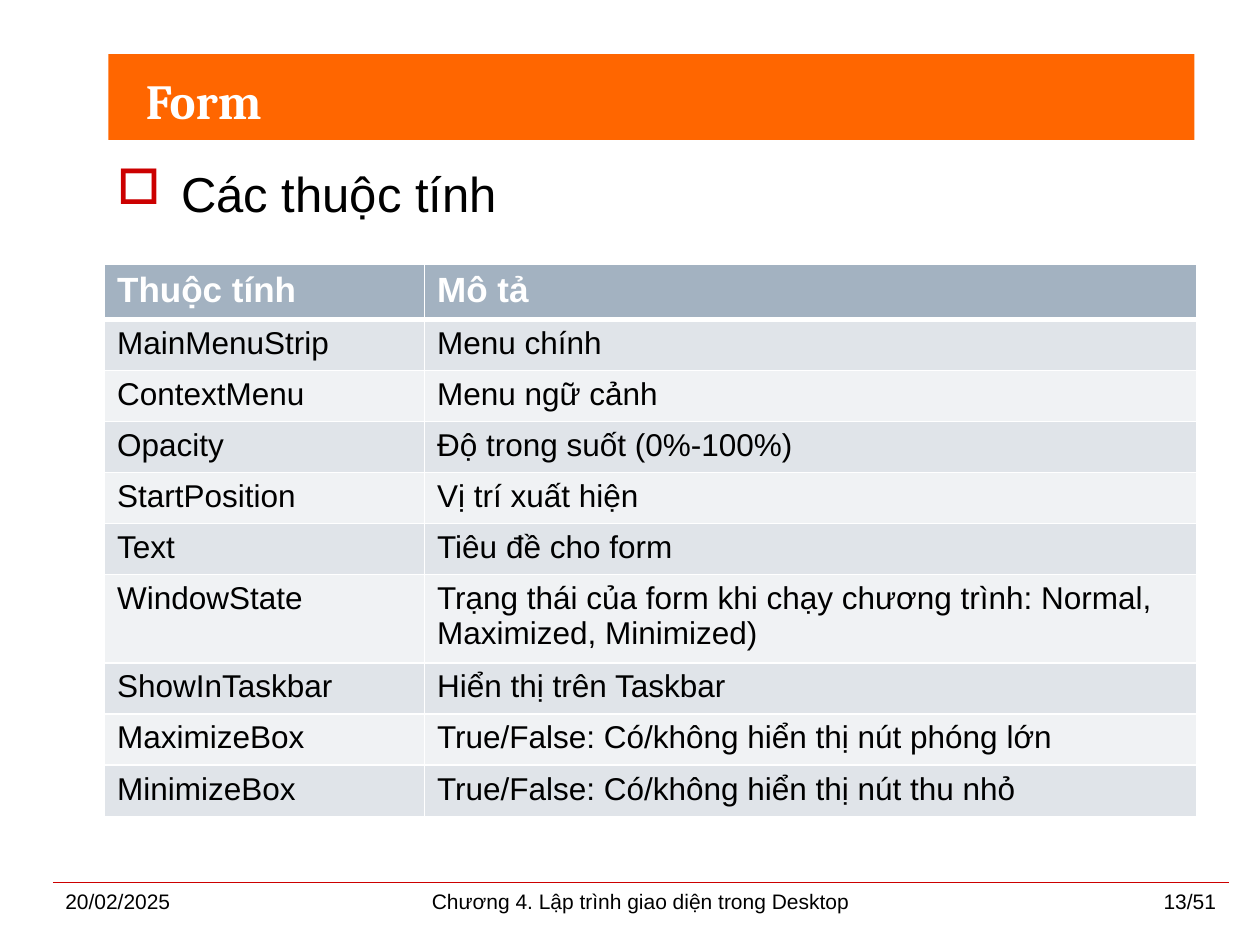
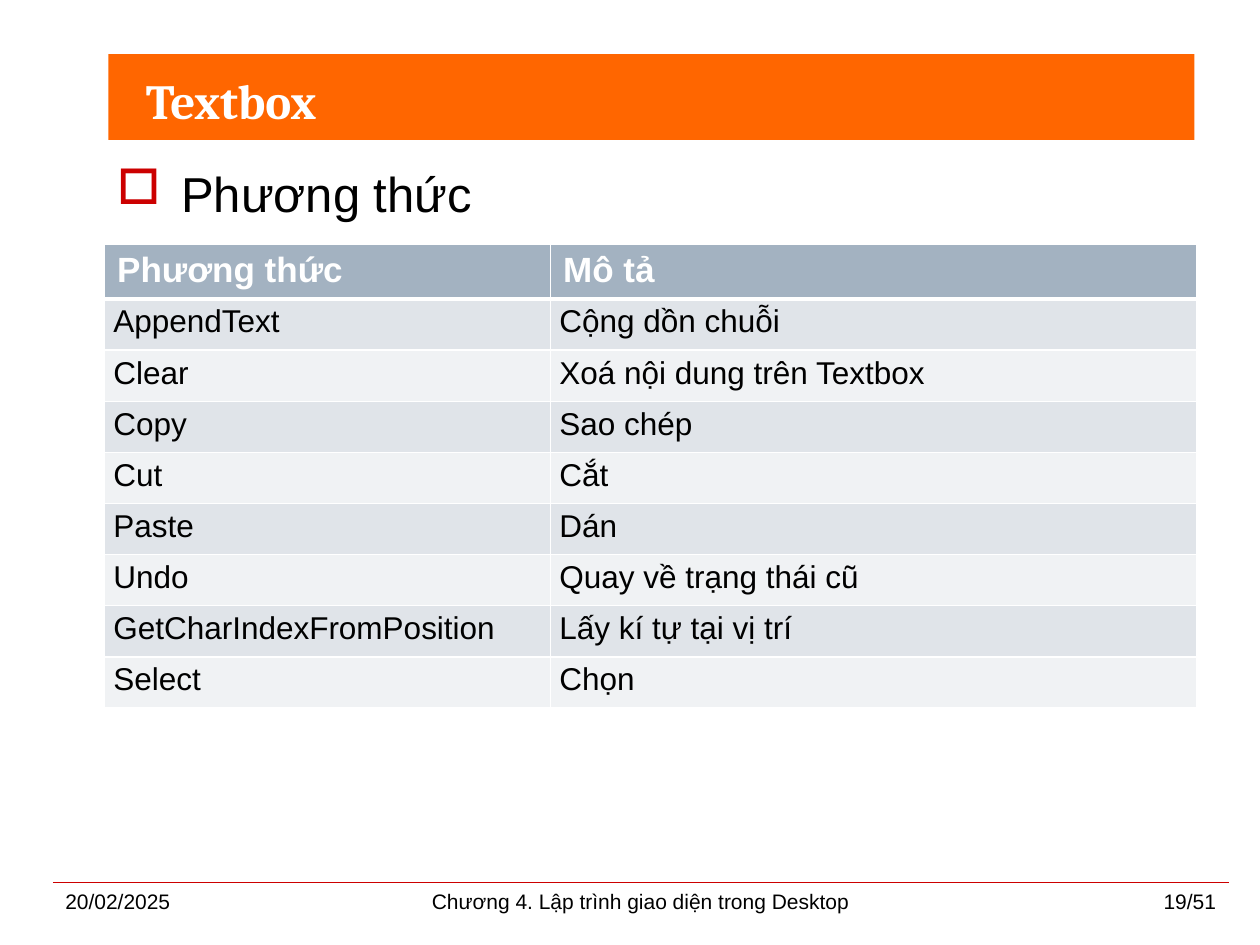
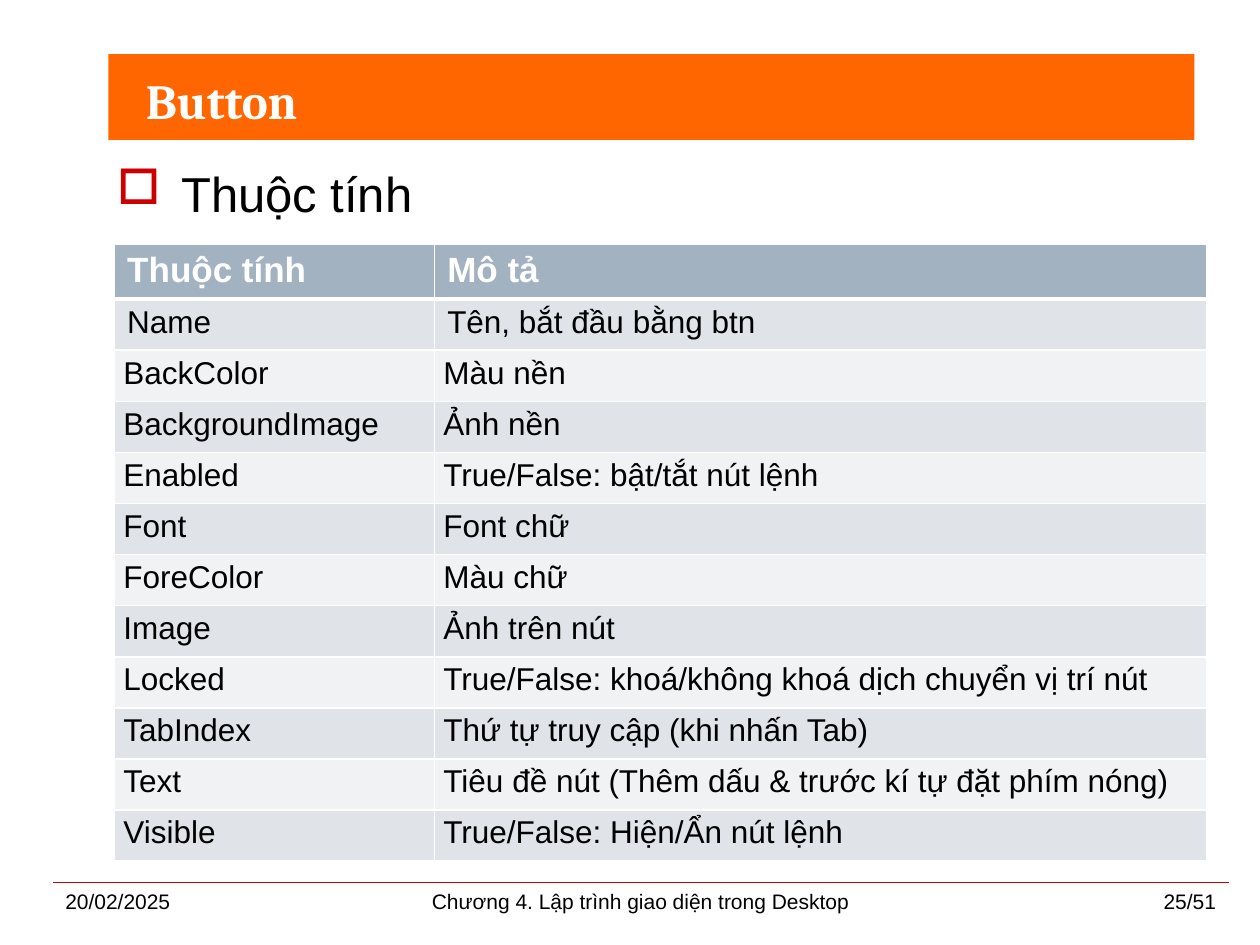
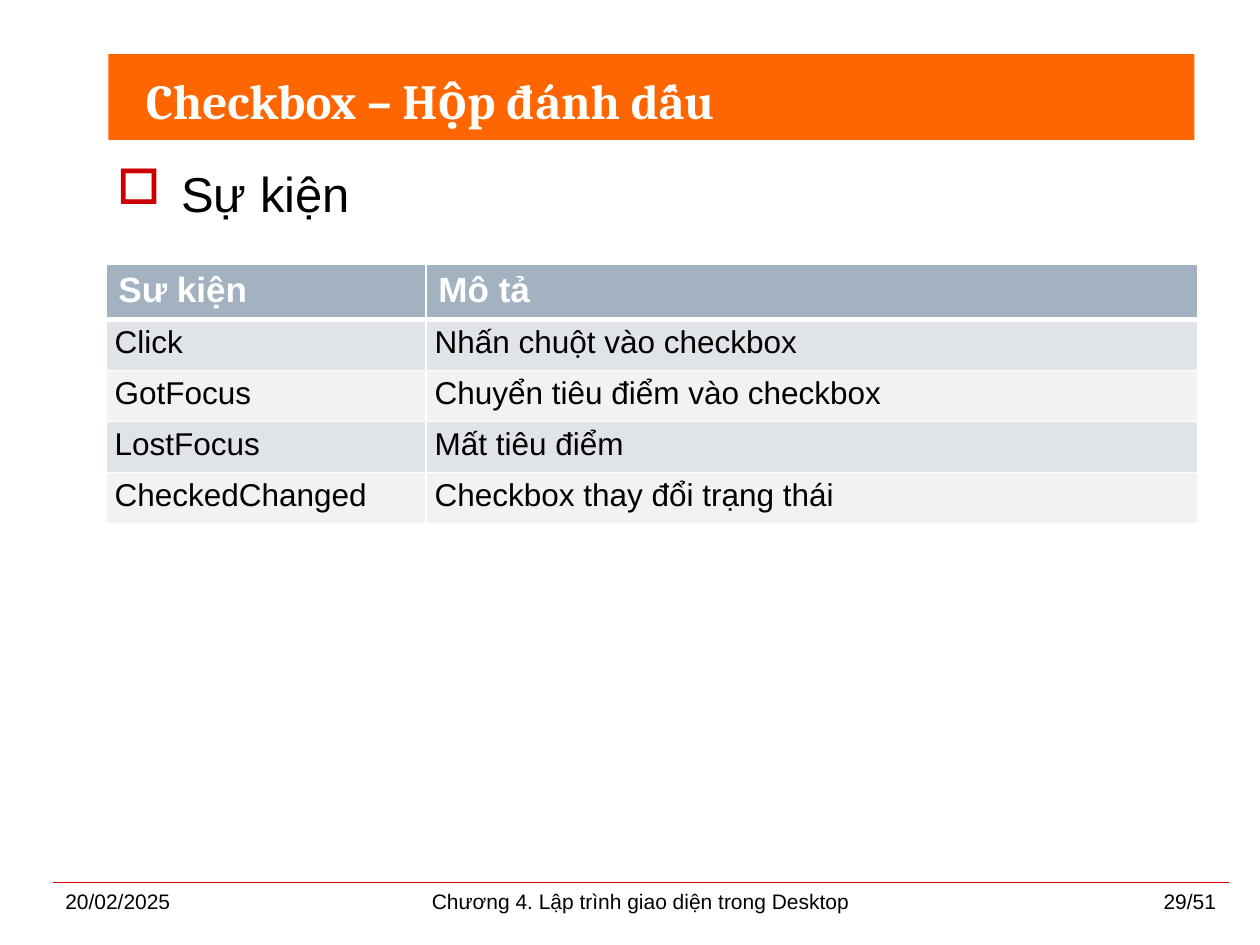
from dataclasses import dataclass

from lxml.etree import SubElement
from pptx import Presentation
from pptx.dml.color import RGBColor as RGB
from pptx.enum.shapes import MSO_CONNECTOR as LINE, MSO_SHAPE as SHAPE
from pptx.enum.text import MSO_ANCHOR as ANCHOR, PP_ALIGN as ALIGN
from pptx.oxml import parse_xml
from pptx.oxml.ns import nsdecls, qn
from pptx.util import Inches, Pt

DATE = "20/02/2025"
CHAPTER = "Chương 4. Lập trình giao diện trong Desktop"
TOTAL = 51

# at: left and top of the table; first: width of column one;
# loose: how many rows below the header keep the wide cell margins
SLIDES = [
    dict(
        title="Form", topic="Các thuộc tính", page=13,
        at=(0.83, 2.1), first=2.54, loose=9,
        rows=[
            ("Thuộc tính", "Mô tả"),
            ("MainMenuStrip", "Menu chính"),
            ("ContextMenu", "Menu ngữ cảnh"),
            ("Opacity", "Độ trong suốt (0%-100%)"),
            ("StartPosition", "Vị trí xuất hiện"),
            ("Text", "Tiêu đề cho form"),
            ("WindowState", "Trạng thái của form khi chạy chương trình: "
                            "Normal, Maximized, Minimized)"),
            ("ShowInTaskbar", "Hiển thị trên Taskbar"),
            ("MaximizeBox", "True/False: Có/không hiển thị nút phóng lớn"),
            ("MinimizeBox", "True/False: Có/không hiển thị nút thu nhỏ"),
        ],
    ),
    dict(
        title="Textbox", topic="Phương thức", page=19,
        at=(0.83, 1.94), first=3.54, loose=0,
        rows=[
            ("Phương thức", "Mô tả"),
            ("AppendText", "Cộng dồn chuỗi"),
            ("Clear", "Xoá nội dung trên Textbox"),
            ("Copy", "Sao chép"),
            ("Cut", "Cắt"),
            ("Paste", "Dán"),
            ("Undo", "Quay về trạng thái cũ"),
            ("GetCharIndexFromPosition", "Lấy kí tự tại vị trí"),
            ("Select", "Chọn"),
        ],
    ),
    dict(
        title="Button", topic="Thuộc tính", page=25,
        at=(0.91, 1.94), first=2.54, loose=1,
        rows=[
            ("Thuộc tính", "Mô tả"),
            ("Name", "Tên, bắt đầu bằng btn"),
            ("BackColor", "Màu nền"),
            ("BackgroundImage", "Ảnh nền"),
            ("Enabled", "True/False: bật/tắt nút lệnh"),
            ("Font", "Font chữ"),
            ("ForeColor", "Màu chữ"),
            ("Image", "Ảnh trên nút"),
            ("Locked", "True/False: khoá/không khoá dịch chuyển vị trí nút"),
            ("TabIndex", "Thứ tự truy cập (khi nhấn Tab)"),
            ("Text", "Tiêu đề nút (Thêm dấu & trước kí tự đặt phím nóng)"),
            ("Visible", "True/False: Hiện/Ẩn nút lệnh"),
        ],
    ),
    dict(
        title="Checkbox – Hộp đánh dấu", topic="Sự kiện", page=29,
        at=(0.84, 2.1), first=2.54, loose=0,
        rows=[
            ("Sư kiện", "Mô tả"),
            ("Click", "Nhấn chuột vào checkbox"),
            ("GotFocus", "Chuyển tiêu điểm vào checkbox"),
            ("LostFocus", "Mất tiêu điểm"),
            ("CheckedChanged", "Checkbox thay đổi trạng thái"),
        ],
    ),
]


@dataclass(frozen=True)
class Theme:
    body: str = "Arial"
    head: str = "Cambria"
    white: str = "FFFFFF"
    black: str = "000000"
    band: str = "FF6600"
    red: str = "CC0000"
    header: str = "A3B2C1"
    stripes: tuple = ("F0F2F4", "E0E4E9")
    big: int = 28
    label: int = 20
    cell: int = 18
    small: int = 12


T = Theme()
WIDTH, HEIGHT = 10, 7.5
LEFT, RIGHT, FOOT = 0.42, 9.75, 7
TABLE_W = 8.67
ROW_H = Pt(29.2)


def box(*sides):
    return [Inches(side) for side in sides]


def add_run(para, text, size, color=T.black, font=T.body, bold=False):
    run = para.add_run()
    run.text = text
    run.font.name = font
    run.font.size = Pt(size)
    run.font.bold = bold
    run.font.color.rgb = RGB.from_string(color)


def add_text(slide, at, text, size, align=ALIGN.LEFT, anchor=ANCHOR.TOP, **look):
    frame = slide.shapes.add_textbox(*box(*at)).text_frame
    frame.word_wrap = True
    frame.vertical_anchor = anchor
    para = frame.paragraphs[0]
    para.alignment = align
    add_run(para, text, size, **look)
    return para


def add_bullet(para):
    """Give the paragraph a hanging red square."""
    props = para._p.get_or_add_pPr()
    props.set("marL", str(Inches(0.51)))
    props.set("indent", str(-Inches(0.51)))
    tint = SubElement(props, qn("a:buClr"))
    SubElement(tint, qn("a:srgbClr"), val=T.red)
    SubElement(props, qn("a:buChar"), char="□")


def add_frame(slide, title, page):
    """Draw the title band and the footer."""
    rule = slide.shapes.add_connector(
        LINE.STRAIGHT, *box(LEFT, FOOT, RIGHT, FOOT))
    rule.line.color.rgb = RGB.from_string(T.red)
    rule.line.width = Pt(0.25)
    SubElement(rule._element.spPr, qn("a:effectLst"))

    band = slide.shapes.add_shape(SHAPE.RECTANGLE, *box(0.86, 0.43, 8.62, 0.68))
    band.shadow.inherit = False
    band.fill.solid()
    band.fill.fore_color.rgb = RGB.from_string(T.band)
    band.line.fill.background()
    add_text(slide, (1.06, 0.42, 8.19, 0.75), title, T.big,
             anchor=ANCHOR.MIDDLE, color=T.white, font=T.head, bold=True)

    side, mid = 2.17, 4.33
    for left, width, text, align in (
        (LEFT, side, DATE, ALIGN.LEFT),
        (2.92, mid, CHAPTER, ALIGN.CENTER),
        (RIGHT - side, side, f"{page}/{TOTAL}", ALIGN.RIGHT),
    ):
        add_text(slide, (left, FOOT, width, 0.35), text, T.small, align)


def add_borders(cell, head):
    props = cell._tc.get_or_add_tcPr()
    for i, side in enumerate("LRTB"):
        width = Pt(3 if head and side == "B" else 1)
        props.insert(i, parse_xml(
            f'<a:ln{side} {nsdecls("a")} w="{width}"><a:solidFill>'
            f'<a:srgbClr val="{T.white}"/></a:solidFill></a:ln{side}>'))


def fill_cell(cell, text, row, loose):
    head = row == 0
    wide = row <= loose
    cell.margin_left = cell.margin_right = Inches(0.1 if wide else 0.07)
    cell.margin_top = cell.margin_bottom = Inches(0.05 if wide else 0)
    cell.fill.solid()
    cell.fill.fore_color.rgb = RGB.from_string(
        T.header if head else T.stripes[row % 2])
    add_borders(cell, head)
    para = cell.text_frame.paragraphs[0]
    if not wide:
        para.alignment = ALIGN.JUSTIFY
        para.line_spacing = 1.15
        para.space_after = Pt(6)
    if head:
        add_run(para, text, T.label, T.white, bold=True)
    else:
        add_run(para, text, T.cell)


def add_grid(slide, rows, at, first, loose):
    table = slide.shapes.add_table(
        len(rows), 2, *box(*at, TABLE_W), ROW_H * len(rows)).table
    table.horz_banding = False
    table.columns[0].width = Inches(first)
    table.columns[1].width = Inches(TABLE_W - first)
    for r, texts in enumerate(rows):
        table.rows[r].height = ROW_H
        for c, text in enumerate(texts):
            fill_cell(table.cell(r, c), text, r, loose)


def main():
    deck = Presentation()
    deck.slide_width, deck.slide_height = box(WIDTH, HEIGHT)
    for item in SLIDES:
        slide = deck.slides.add_slide(deck.slide_layouts[6])
        add_frame(slide, item["title"], item["page"])
        topic = add_text(slide, (0.83, 1.25, TABLE_W, 5.67), item["topic"],
                         T.big, ALIGN.JUSTIFY)
        add_bullet(topic)
        add_grid(slide, item["rows"], item["at"], item["first"], item["loose"])
    deck.save("out.pptx")


if __name__ == "__main__":
    main()
